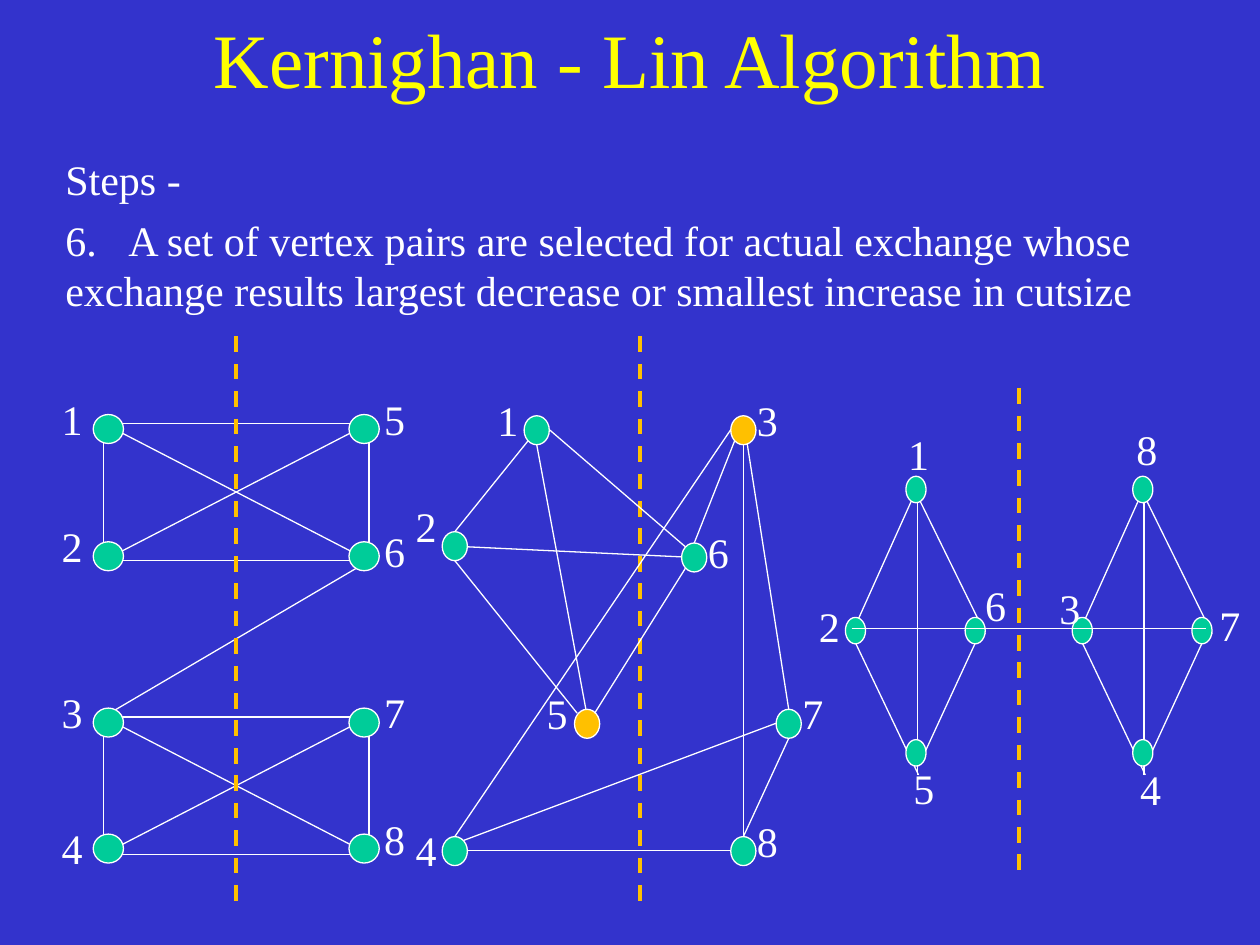
import pptx
import pptx.dml.color
import pptx.enum.dml
import pptx.enum.shapes
import pptx.enum.text
import pptx.oxml.ns
import pptx.util
from lxml import etree

COLS, ROWS = 1000, 750
FONT, WHITE, GREEN, AMBER = "Times New Roman", "FFFFFF", "00CC99", "FFC000"


def rgb(value):
    """Turn a hex string into a colour."""
    return pptx.dml.color.RGBColor.from_string(value)


def write(p, text, size=24, color=WHITE, align="LEFT", before=0, tab=None):
    """Put formatted text into a paragraph."""
    p.alignment = getattr(pptx.enum.text.PP_ALIGN, align)
    p.space_before = pptx.util.Pt(before)
    if tab:
        qn = pptx.oxml.ns.qn
        tabs = etree.SubElement(p._p.get_or_add_pPr(), qn("a:tabLst"))
        etree.SubElement(tabs, qn("a:tab"), pos=str(pptx.util.Inches(tab)), algn="l")
    r = p.add_run()
    r.text = text
    r.font.name, r.font.size = FONT, pptx.util.Pt(size)
    r.font.color.rgb = rgb(color)


class Canvas:
    """Hold the style, the grid and the current slide."""

    def __init__(self, prs, background):
        """Add a blank slide with a plain background."""
        self.s = prs.slides.add_slide(prs.slide_layouts[6])
        self.s.background.fill.solid()
        self.s.background.fill.fore_color.rgb = rgb(background)
        self.col, self.row = prs.slide_width / COLS, prs.slide_height / ROWS
        self.shapes = self.s.shapes

    def group(self):
        """Send the following elements to a new group."""
        self.shapes = self.s.shapes.add_group_shape().shapes

    def place(self, x, y, w, h):
        """Convert grid columns and rows to slide lengths."""
        return [round(v) for v in (x * self.col, y * self.row, w * self.col, h * self.row)]

    def text(self, box, lines, anchor="TOP", wrap=True, **style):
        """Add a text box with one paragraph per line."""
        tf = self.shapes.add_textbox(*self.place(*box)).text_frame
        tf.word_wrap = wrap
        tf.vertical_anchor = getattr(pptx.enum.text.MSO_ANCHOR, anchor)
        for i, line in enumerate(lines):
            p = tf.add_paragraph() if i else tf.paragraphs[0]
            write(p, line, before=6 if i else 0, **style)

    def label(self, number, x, y):
        """Add a vertex number."""
        self.text((x, y, 36, 50), [str(number)], anchor="MIDDLE", wrap=False)

    def shape(self, kind, box, fill=None):
        """Add a thinly outlined shape."""
        sp = self.shapes.add_shape(getattr(pptx.enum.shapes.MSO_SHAPE, kind), *self.place(*box))
        sp.shadow.inherit = False
        if fill:
            sp.fill.solid()
            sp.fill.fore_color.rgb = rgb(fill)
        else:
            sp.fill.background()
        sp.line.color.rgb, sp.line.width = rgb(WHITE), pptx.util.Pt(0.75)

    def line(self, x1, y1, x2, y2, color=WHITE, width=0.75):
        """Add a straight line between two grid points."""
        kind = pptx.enum.shapes.MSO_CONNECTOR.STRAIGHT
        sp = self.shapes.add_connector(kind, *self.place(x1, y1, x2, y2))
        sp.line.color.rgb, sp.line.width = rgb(color), pptx.util.Pt(width)
        etree.SubElement(sp._element.spPr, pptx.oxml.ns.qn("a:effectLst"))
        return sp

    def cut(self, x, top, bottom):
        """Add a dashed partition line."""
        sp = self.line(x, top, x, bottom, AMBER, 2.25)
        sp.line.dash_style = pptx.enum.dml.MSO_LINE.DASH


def initial_graph(c):
    """Draw the starting partition."""
    c.group()
    left, right, height = 82, 293, 109
    for top in (336, 569):
        c.shape("RECTANGLE", (left, top, right - left, height))
        c.line(left, top, right, top + height)
        c.line(right, top, left, top + height)
    c.line(right, 445, left, 569)
    for y in (329, 430, 562, 662):
        for x in (74, 277):
            c.shape("OVAL", (x, y, 24, 23), GREEN)
    for x, first, tops in ((39, 1, (307, 408, 540, 648)), (295, 5, (307, 412, 540, 641))):
        for number, y in enumerate(tops, first):
            c.label(number, x, y)
    c.cut(187, 267, 717)


def exchange_graph(c):
    """Draw the exchange of vertices 3 and 5."""
    c.group()
    vertices = {1: (416, 330, 385, 308), 2: (351, 422, 320, 392), 3: (580, 330, 591, 308),
                4: (351, 664, 320, 649), 5: (456, 563, 424, 541), 6: (541, 431, 552, 413),
                7: (616, 563, 627, 541), 8: (580, 664, 591, 642)}
    for number, (x, y, label_x, label_y) in vertices.items():
        c.shape("OVAL", (x, y, 20, 23), AMBER if number in (3, 5) else GREEN)
        c.label(number, label_x, label_y)
    c.cut(508, 267, 717)
    edges = ((419, 350, 361, 422), (361, 445, 458, 566), (583, 350, 551, 431),
             (593, 352, 626, 563), (626, 586, 590, 664), (590, 353, 590, 664),
             (426, 353, 465, 563), (436, 341, 544, 434), (371, 434, 541, 442),
             (361, 664, 580, 341), (368, 667, 616, 574), (371, 675, 580, 675),
             (472, 566, 544, 451))
    for edge in edges:
        c.line(*edge)


def kite(c, x):
    """Draw four fully connected vertices from the left column x."""
    edges = ((53, 385, 0, 503), (0, 504, 53, 615), (48, 385, 106, 503),
             (101, 504, 53, 608), (52, 385, 52, 615))
    for x1, y1, x2, y2 in edges:
        c.line(x + x1, y1, x + x2, y2)
    for dx, y in ((43, 378), (43, 587), (90, 490), (-5, 490)):
        c.shape("OVAL", (x + dx, y, 16, 21), GREEN)
    c.line(x, 499, x + 101, 499)


def final_graph(c):
    """Draw the partition after the exchange."""
    c.group()
    for x in (676, 856):
        kite(c, x)
    c.line(777, 499, 856, 499)
    c.cut(809, 308, 692)
    labels = {1: (711, 335), 2: (640, 472), 3: (831, 457), 4: (895, 601),
              5: (715, 600), 6: (772, 455), 7: (958, 471), 8: (892, 331)}
    for number, (x, y) in labels.items():
        c.label(number, x, y)


def main():
    """Build the slide and save it."""
    prs = pptx.Presentation()
    prs.slide_width, prs.slide_height = pptx.util.Inches(10), pptx.util.Inches(7.5)
    c = Canvas(prs, "3333CC")
    c.text((0, 0, COLS, 92), ["Kernighan - Lin Algorithm"], anchor="MIDDLE",
           size=44, color="FFFF00", align="CENTER")
    c.text((42, 117, 933, 133),
           ["Steps -", "6.\tA set of vertex pairs are selected for actual exchange whose "
            "exchange results largest decrease or smallest increase in cutsize"], tab=0.5)
    initial_graph(c)
    exchange_graph(c)
    final_graph(c)
    prs.save("out.pptx")


if __name__ == "__main__":
    main()
